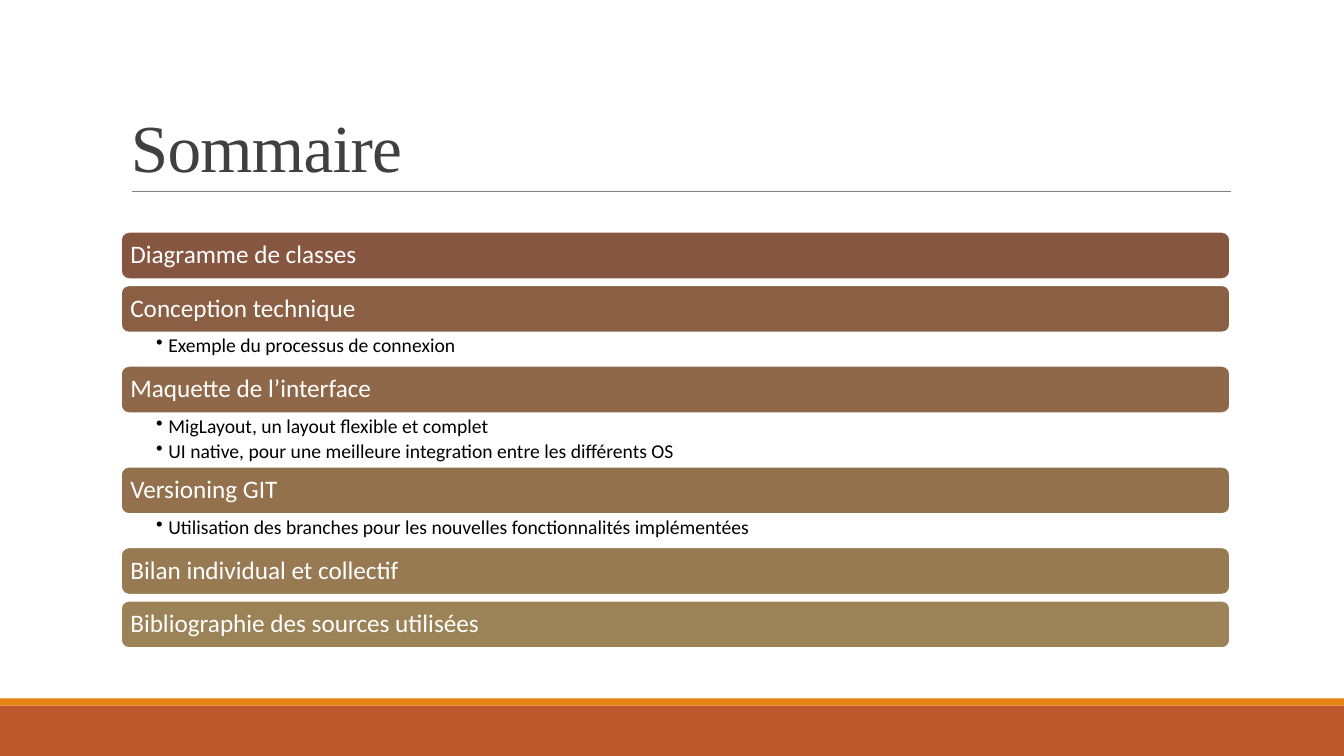
from lxml import etree
from pptx import Presentation
from pptx.dml.color import RGBColor
from pptx.enum.shapes import MSO_CONNECTOR, MSO_SHAPE
from pptx.enum.text import MSO_ANCHOR, PP_ALIGN
from pptx.oxml.ns import qn
from pptx.util import Inches, Pt

RECTANGLE = MSO_SHAPE.RECTANGLE
ROUNDED = MSO_SHAPE.ROUNDED_RECTANGLE
STRAIGHT = MSO_CONNECTOR.STRAIGHT
LEFT = PP_ALIGN.LEFT
TOP, MIDDLE, BOTTOM = MSO_ANCHOR.TOP, MSO_ANCHOR.MIDDLE, MSO_ANCHOR.BOTTOM

WHITE = RGBColor(0xFF, 0xFF, 0xFF)
BLACK = RGBColor(0x00, 0x00, 0x00)
CHARCOAL = RGBColor(0x40, 0x40, 0x40)
GREY = RGBColor(0x80, 0x80, 0x80)
RUST = RGBColor(0xBD, 0x58, 0x2C)
ORANGE = RGBColor(0xE4, 0x83, 0x12)

TITLE = "Sommaire"
SECTIONS = [
    ("Diagramme de classes", RGBColor(0x86, 0x56, 0x40), []),
    ("Conception technique", RGBColor(0x8A, 0x5F, 0x44),
     ["Exemple du processus de connexion"]),
    ("Maquette de l’interface", RGBColor(0x8F, 0x68, 0x49),
     ["MigLayout, un layout flexible et complet",
      "UI native, pour une meilleure integration entre les différents OS"]),
    ("Versioning GIT", RGBColor(0x93, 0x71, 0x4D),
     ["Utilisation des branches pour les nouvelles fonctionnalités implémentées"]),
    ("Bilan individual et collectif", RGBColor(0x97, 0x7A, 0x52), []),
    ("Bibliographie des sources utilisées", RGBColor(0x9B, 0x83, 0x57), []),
]
FOOTER_BANDS = [(7, 0.5, RUST), (6.93, 0.07, ORANGE)]

SLIDE_W, SLIDE_H = 13.33, 7.5
MARGIN, CONTENT_W = 1.2, 11
LIST_TOP, BAR_H, BAR_GAP = 2.3, 0.47, 0.06
DETAIL_H, DETAIL_PAD = 0.2, 0.13
BULLET_INDENT = Inches(0.12)


def add_block(slide, kind, left, top, width, height, fill):
    block = slide.shapes.add_shape(
        kind, Inches(left), Inches(top), Inches(width), Inches(height))
    block.shadow.inherit = False
    block.fill.solid()
    block.fill.fore_color.rgb = fill
    block.line.fill.background()
    return block


def write(holder, lines, size, font, color, anchor, insets, line_spacing):
    frame = holder.text_frame
    frame.text = "\n".join(lines)
    frame.word_wrap = True
    frame.vertical_anchor = anchor
    (frame.margin_left, frame.margin_top,
     frame.margin_right, frame.margin_bottom) = map(Inches, insets)
    for paragraph in frame.paragraphs:
        paragraph.alignment = LEFT
        paragraph.line_spacing = line_spacing
        for run in paragraph.runs:
            run.font.size = Pt(size)
            run.font.name = font
            run.font.color.rgb = color
    return frame.paragraphs


def add_textbox(slide, top, height):
    return slide.shapes.add_textbox(
        Inches(MARGIN), Inches(top), Inches(CONTENT_W), Inches(height))


def add_bullet(paragraph):
    paragraph.space_after = Pt(2.8)
    properties = paragraph._p.get_or_add_pPr()
    properties.set("marL", str(BULLET_INDENT))
    properties.set("indent", str(-BULLET_INDENT))
    etree.SubElement(properties, qn("a:buChar")).set("char", "•")


def add_title(slide):
    rule = slide.shapes.add_connector(
        STRAIGHT, Inches(1.31), Inches(1.9), Inches(12.21), Inches(1.9))
    rule.line.color.rgb = GREY
    rule.line.width = Pt(0.5)
    etree.SubElement(rule._element.spPr, qn("a:effectLst"))
    heading = add_textbox(slide, 0.31, 1.59)
    paragraphs = write(heading, [TITLE], 48, "Times New Roman", CHARCOAL,
                       BOTTOM, (0.1, 0.05, 0.1, 0.05), 0.85)
    paragraphs[0].runs[0].font._element.set("spc", "-50")


def add_sections(slide):
    top = LIST_TOP
    for name, color, details in SECTIONS:
        bar = add_block(slide, ROUNDED, MARGIN, top, CONTENT_W, BAR_H, color)
        bar.line.color.rgb = WHITE
        bar.line.width = Pt(1.25)
        write(bar, [name], 18, "Calibri", WHITE, MIDDLE, (0.07,) * 4, 0.9)
        top += BAR_H
        if not details:
            top += BAR_GAP
            continue
        height = DETAIL_PAD + DETAIL_H * len(details)
        box = add_textbox(slide, top, height)
        for paragraph in write(box, details, 14, "Calibri", BLACK, TOP,
                               (0.35, 0.03, 0.14, 0.03), 0.9):
            add_bullet(paragraph)
        top += height


def main():
    deck = Presentation()
    deck.slide_width, deck.slide_height = Inches(SLIDE_W), Inches(SLIDE_H)
    slide = deck.slides.add_slide(deck.slide_layouts[6])
    for top, height, color in FOOTER_BANDS:
        add_block(slide, RECTANGLE, 0, top, SLIDE_W, height, color)
    add_title(slide)
    add_sections(slide)
    deck.save("out.pptx")


if __name__ == "__main__":
    main()
